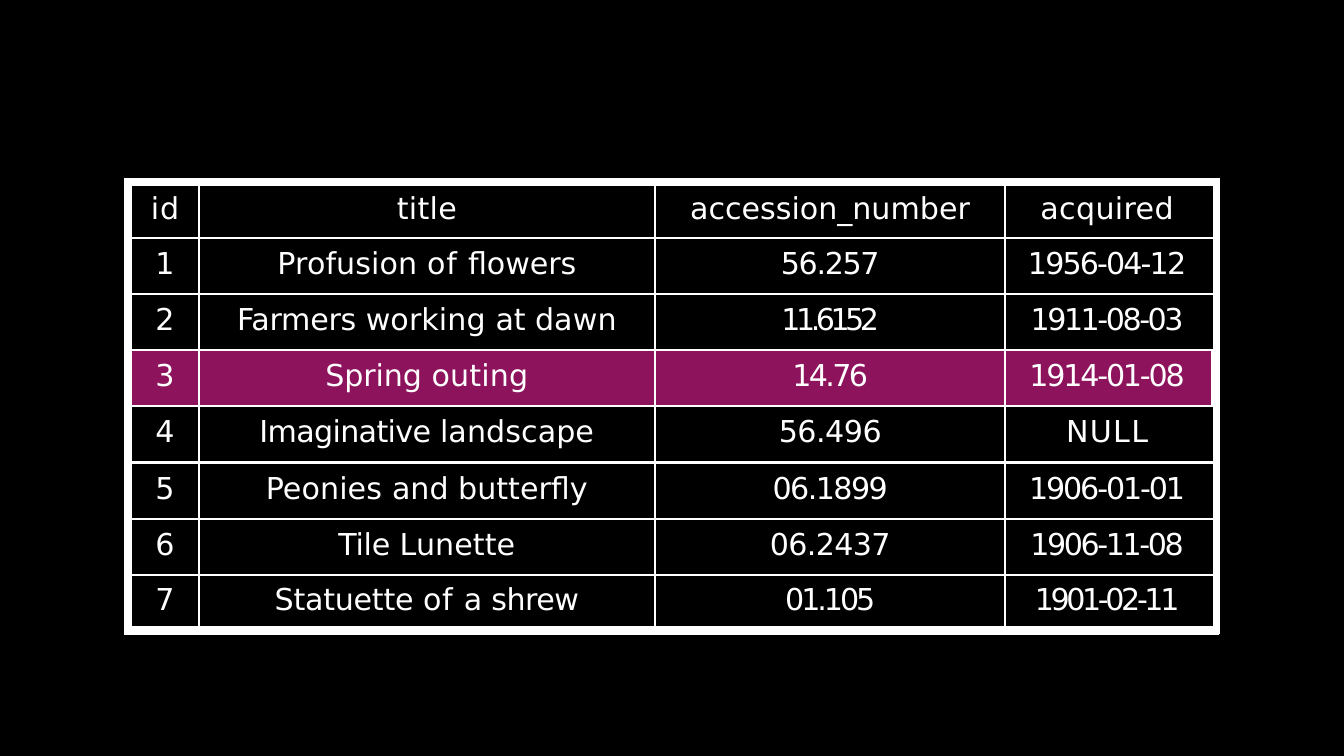
from lxml import etree
from pptx import Presentation, util as u
from pptx.dml.color import RGBColor
from pptx.enum import shapes, text
from pptx.oxml.ns import qn

# Content: each cell is a list of (words, letter spacing in points)
ROWS = [
    ([("id", 1)], [("title", .4)], [("accession_number", 0)], [("acquired", .4)]),
    ([("1", 0)], [("Profusion ", .1), ("of ", .9), ("flowers", -.1)],
     [("56.257", -1.6)], [("1956-04-12", -2.2)]),
    ([("2", 0)], [("Farmers ", -.3), ("working ", .1), ("at ", -.3), ("dawn", .1)],
     [("11.6152", -5.3)], [("1911-08-03", -2.9)]),
    ([("3", 0)], [("Spring ", -.1), ("outing", .2)],
     [("14.76", -3.1)], [("1914-01-08", -2.6)]),
    ([("4", 0)], [("Imaginative ", -.8), ("landscape", .1)],
     [("56.496", -.6)], [("NULL", 1.6)]),
    ([("5", 0)], [("Peonies ", .1), ("and butterfly", 0)],
     [("06.1899", -1.8)], [("1906-01-01", -2.5)]),
    ([("6", 0)], [("Tile ", -.3), ("Lunette", .1)],
     [("06.2437", -.8)], [("1906-11-08", -2.8)]),
    ([("7", 0)], [("Statuette ", -.3), ("of ", .9), ("a ", -.8), ("shrew", -.6)],
     [("01.105", -3.6)], [("1901-02-11", -4)]),
]
PICK = 4  # grid row of the highlighted record
BLACK, WHITE, PLUM = "000000", "FFFFFF", "8C135C"
FONT, SIZE = "DejaVu Sans", 35.5

# Grid: thin white bands frame the data cells
WIDE, HIGH = 21.99, 12.37
LEFT, TOP = 2.04, 2.92
EDGE = .11
COLS = [EDGE, 1.1, 7.47, 5.73, 3.38, EDGE]
TALL = [EDGE, .86] + [.92] * 6 + [.86, EDGE]
LAST = len(TALL) - 1
PADS = {1: .11, 4: .16}  # distance kept from the table's outer side


def color(code):
    return RGBColor.from_string(code)


def paint(cell, code):
    cell.fill.solid()
    cell.fill.fore_color.rgb = color(code)


def rule(cell, sides):
    """Draw 3 pt white borders; they must come before the fill."""
    props = cell._tc.get_or_add_tcPr()
    for spot, side in enumerate(sides):
        line = etree.Element(qn("a:ln" + side), w=str(u.Pt(3)))
        fill = etree.SubElement(line, qn("a:solidFill"))
        etree.SubElement(fill, qn("a:srgbClr"), val=WHITE)
        props.insert(spot, line)


def write(cell, runs):
    para = cell.text_frame.paragraphs[0]
    para.alignment = text.PP_ALIGN.CENTER
    for words, gap in runs:
        run = para.add_run()
        run.text = words
        run.font.name, run.font.size = FONT, u.Pt(SIZE)
        run.font.color.rgb = color(WHITE)
        run._r.get_or_add_rPr().set("spc", str(round(gap * 100)))


def main():
    deck = Presentation()
    deck.slide_width, deck.slide_height = u.Inches(WIDE), u.Inches(HIGH)
    slide = deck.slides.add_slide(deck.slide_layouts[6])
    slide.background.fill.solid()
    slide.background.fill.fore_color.rgb = color(BLACK)

    # Table frame
    grid = slide.shapes.add_table(
        len(TALL), len(COLS), u.Inches(LEFT), u.Inches(TOP),
        u.Inches(sum(COLS)), u.Inches(sum(TALL))).table
    grid.first_row = grid.horz_banding = False
    for col, size in zip(grid.columns, COLS):
        col.width = u.Inches(size)
    for row, size in zip(grid.rows, TALL):
        row.height = u.Inches(size)
    for cell in grid.iter_cells():
        paint(cell, WHITE)
        cell.margin_left = cell.margin_right = 0
        cell.margin_top = cell.margin_bottom = 0
        para = cell.text_frame.paragraphs[0]
        etree.SubElement(para._p, qn("a:endParaRPr"), sz="100")

    # Outer columns join their neighbours, except beside the highlight
    for r in range(len(TALL)):
        if r != PICK:
            for c in (0, 4):
                grid.cell(r, c).merge(grid.cell(r, c + 1))

    # Data cells
    for r, row in enumerate(ROWS, 1):
        for c, runs in enumerate(row, 1):
            joined = r != PICK
            cell = grid.cell(r, 0 if c == 1 and joined else c)
            paint(cell, BLACK if joined else PLUM)
            inset = .11 if r == 1 else .13 if r == LAST - 1 else .14
            cell.margin_top = u.Inches(inset)
            pad = u.Inches(PADS.get(c, 0) - (0 if joined else EDGE))
            if c == 1:
                cell.margin_left = pad
            elif c == 4:
                cell.margin_right = pad
            shown = {"L": c > 1, "R": c < 4, "T": r > 1, "B": r < LAST - 1}
            rule(cell, [side for side in shown if shown[side]])
            write(cell, runs)

    # Heavy side lines
    for x in (2.1, 19.9):
        bar = slide.shapes.add_connector(
            shapes.MSO_CONNECTOR.STRAIGHT, u.Inches(x), u.Inches(TOP),
            u.Inches(x), u.Inches(TOP + sum(TALL)))
        bar.line.color.rgb = color(WHITE)
        bar.line.width = u.Pt(8.25)
        etree.SubElement(bar._element.spPr, qn("a:effectLst"))

    deck.save("out.pptx")


if __name__ == "__main__":
    main()
